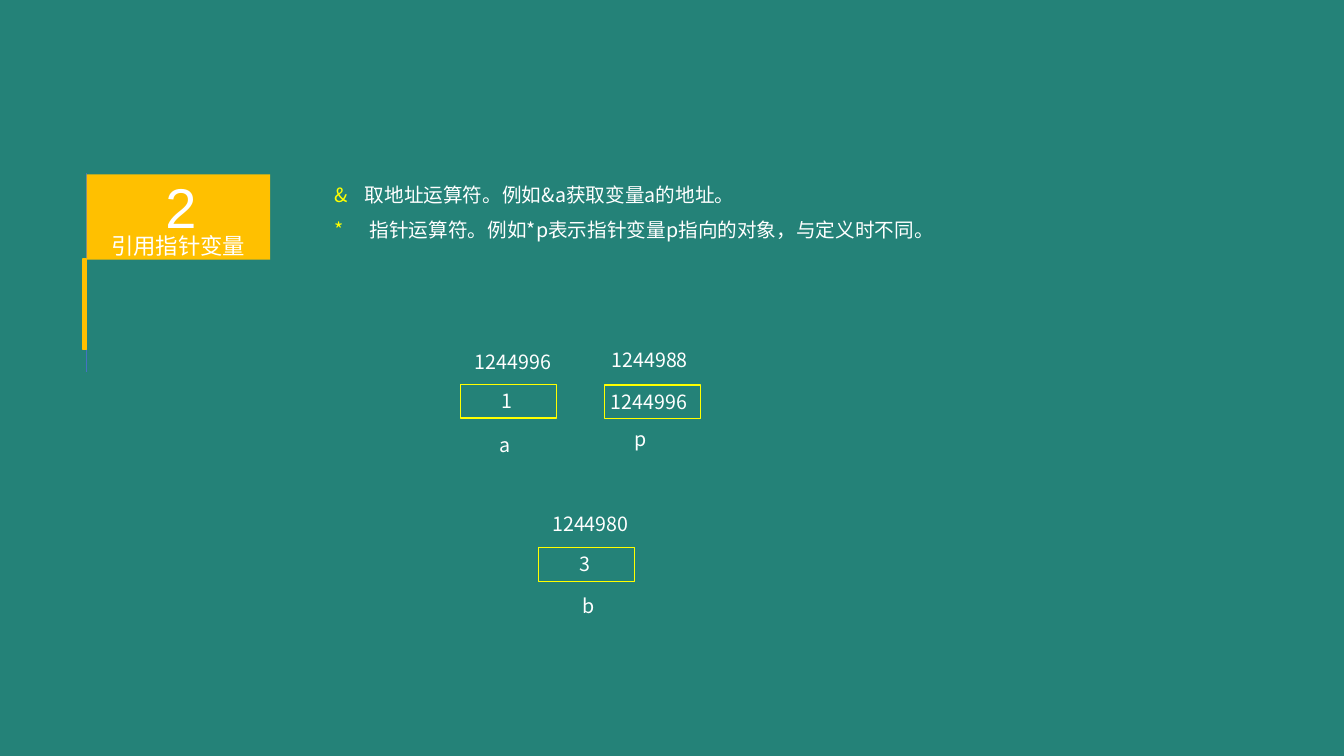
from pptx import Presentation
from pptx.dml.color import RGBColor
from pptx.enum.shapes import MSO_CONNECTOR, MSO_SHAPE
from pptx.enum.text import MSO_ANCHOR, MSO_AUTO_SIZE, PP_ALIGN
from pptx.oxml.ns import qn
from pptx.util import Pt
from lxml.etree import SubElement

BODY_FONT, HEADING_FONT = "Noto Sans CJK SC", "Arial"
WHITE, YELLOW, AMBER, BLUE, TEAL = "FFFFFF", "FFFF00", "FFC000", "4472C4", "248278"

OPERATORS = [  # symbol, explanation, indent
    ("&", "取地址运算符。例如&a获取变量a的地址。", 21.7),
    ("*", "指针运算符。例如*p表示指针变量p指向的对象，与定义时不同。", 25.2),
]
CELL_WIDTH, CELL_HEIGHT = 68.6, 24.3
VARIABLES = [  # cell corner, then (text, left, top) of address, value and name
    ((329, 274.3), [("1244996", 332, 246.2), ("1", 351.4, 274.3), ("a", 350, 306)]),
    ((432, 275), [("1244988", 429.8, 244.8), ("1244996", 429.1, 275), ("p", 446.4, 301.7)]),
    ((384.5, 391), [("1244980", 387.4, 362.2), ("3", 406.8, 391), ("b", 409, 420.5)]),
]


def colour(value):
    return RGBColor.from_string(value)


def add_run(paragraph, text, size, font, fill):
    run = paragraph.add_run()
    run.text = text
    run.font.size = Pt(size)
    run.font.name = font
    run.font.color.rgb = colour(fill)
    SubElement(run.font._element, qn("a:ea")).set("typeface", font)


def add_rectangle(slide, left, top, width, height, fill=None, line=None, weight=0.75):
    shape = slide.shapes.add_shape(
        MSO_SHAPE.RECTANGLE, Pt(left), Pt(top), Pt(width), Pt(height))
    shape.shadow.inherit = False
    if fill:
        shape.fill.solid()
        shape.fill.fore_color.rgb = colour(fill)
    else:
        shape.fill.background()
    if line:
        shape.line.color.rgb = colour(line)
        shape.line.width = Pt(weight)
    else:
        shape.line.fill.background()


def add_line(slide, start, end, line, weight):
    connector = slide.shapes.add_connector(
        MSO_CONNECTOR.STRAIGHT, *(Pt(length) for length in (*start, *end)))
    connector.line.color.rgb = colour(line)
    connector.line.width = Pt(weight)
    SubElement(connector._element.spPr, qn("a:effectLst"))


def add_text_frame(slide, left, top, width, height):
    """Add an unwrapped text box that grows with its text."""
    frame = slide.shapes.add_textbox(Pt(left), Pt(top), Pt(width), Pt(height)).text_frame
    frame.word_wrap = False
    frame.auto_size = MSO_AUTO_SIZE.SHAPE_TO_FIT_TEXT
    return frame


def add_operators(slide):
    frame = add_text_frame(slide, 231.8, 118.8, 447.8, 58.3)
    for index, (symbol, explanation, indent) in enumerate(OPERATORS):
        paragraph = frame.add_paragraph() if index else frame.paragraphs[0]
        paragraph.line_spacing = 1.5
        properties = paragraph._p.get_or_add_pPr()
        properties.set("marL", str(Pt(indent)))
        properties.set("indent", str(-Pt(indent)))
        add_run(paragraph, symbol + "\t", 14, BODY_FONT, YELLOW)
        add_run(paragraph, explanation, 14, BODY_FONT, WHITE)


def add_variable(slide, corner, labels):
    add_rectangle(slide, *corner, CELL_WIDTH, CELL_HEIGHT, line=YELLOW)
    for text, left, top in labels:
        width = 72.7 if len(text) > 1 else 23
        frame = add_text_frame(slide, left, top, width, CELL_HEIGHT)
        add_run(frame.paragraphs[0], text, 14, BODY_FONT, WHITE)


def add_heading(slide, text, size, left, top, width, height):
    frame = slide.shapes.add_textbox(Pt(left), Pt(top), Pt(width), Pt(height)).text_frame
    frame.word_wrap = True
    frame.vertical_anchor = MSO_ANCHOR.MIDDLE
    frame.margin_left = frame.margin_right = Pt(10)
    frame.margin_top = frame.margin_bottom = Pt(5)
    paragraph = frame.paragraphs[0]
    paragraph.alignment = PP_ALIGN.CENTER
    paragraph.line_spacing = 1.3
    add_run(paragraph, text, size, HEADING_FONT, WHITE)


def add_flag(slide):
    add_line(slide, (61.9, 265.7), (61.9, 123.8), BLUE, 0.5)
    add_rectangle(slide, 59.4, 185, 2.2, 64.8, fill=AMBER, line=AMBER, weight=1)
    add_rectangle(slide, 61.9, 124.5, 131, 61, fill=AMBER)
    add_heading(slide, "引用指针变量", 16, 53.3, 160.6, 148.3, 23.8)
    add_heading(slide, "2", 40, 95.8, 118.8, 67, 41.8)


def main():
    presentation = Presentation()
    presentation.slide_width, presentation.slide_height = Pt(960), Pt(540)
    slide = presentation.slides.add_slide(presentation.slide_layouts[6])
    slide.background.fill.solid()
    slide.background.fill.fore_color.rgb = colour(TEAL)
    add_operators(slide)
    for corner, labels in VARIABLES:
        add_variable(slide, corner, labels)
    add_flag(slide)
    presentation.save("out.pptx")


if __name__ == "__main__":
    main()
